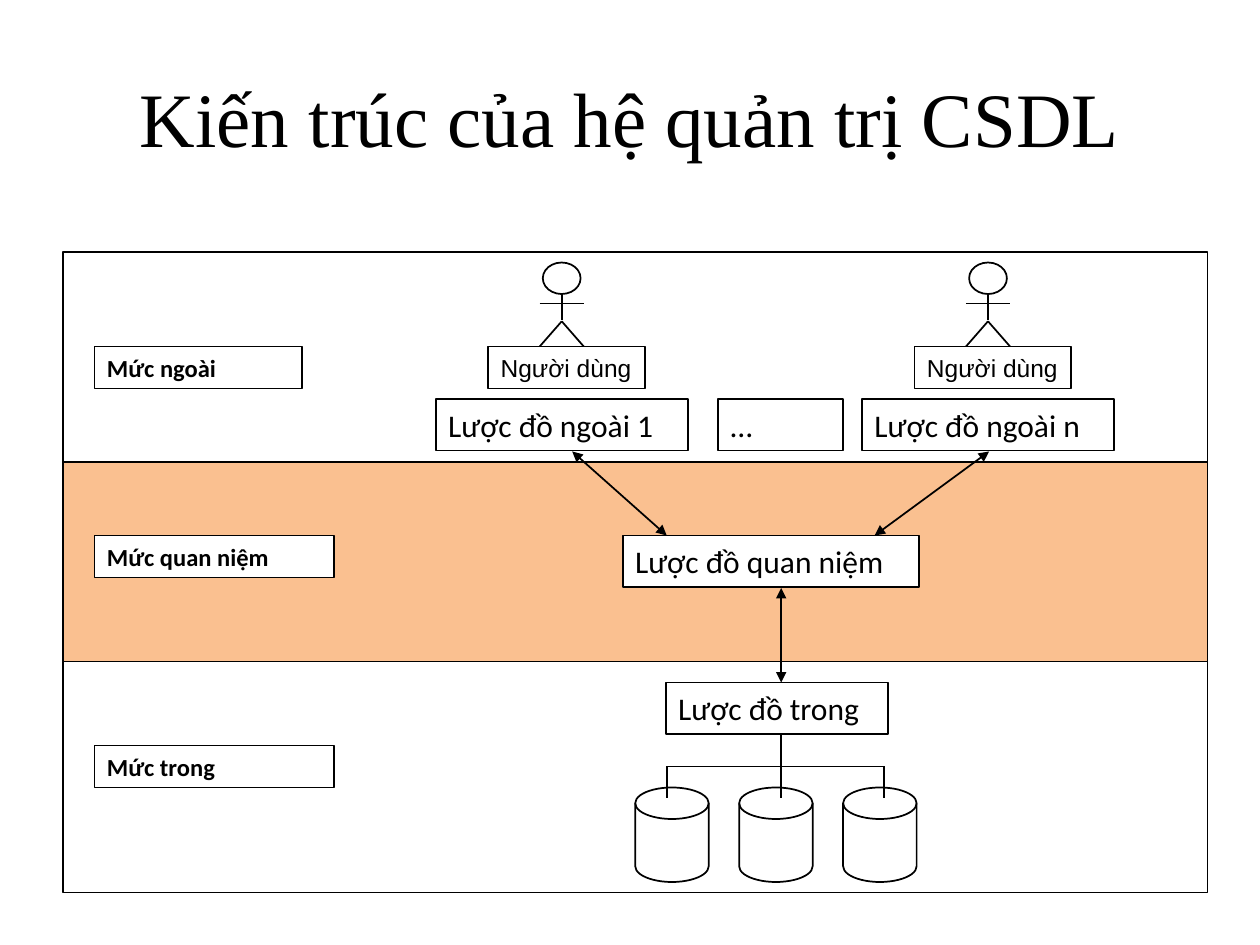
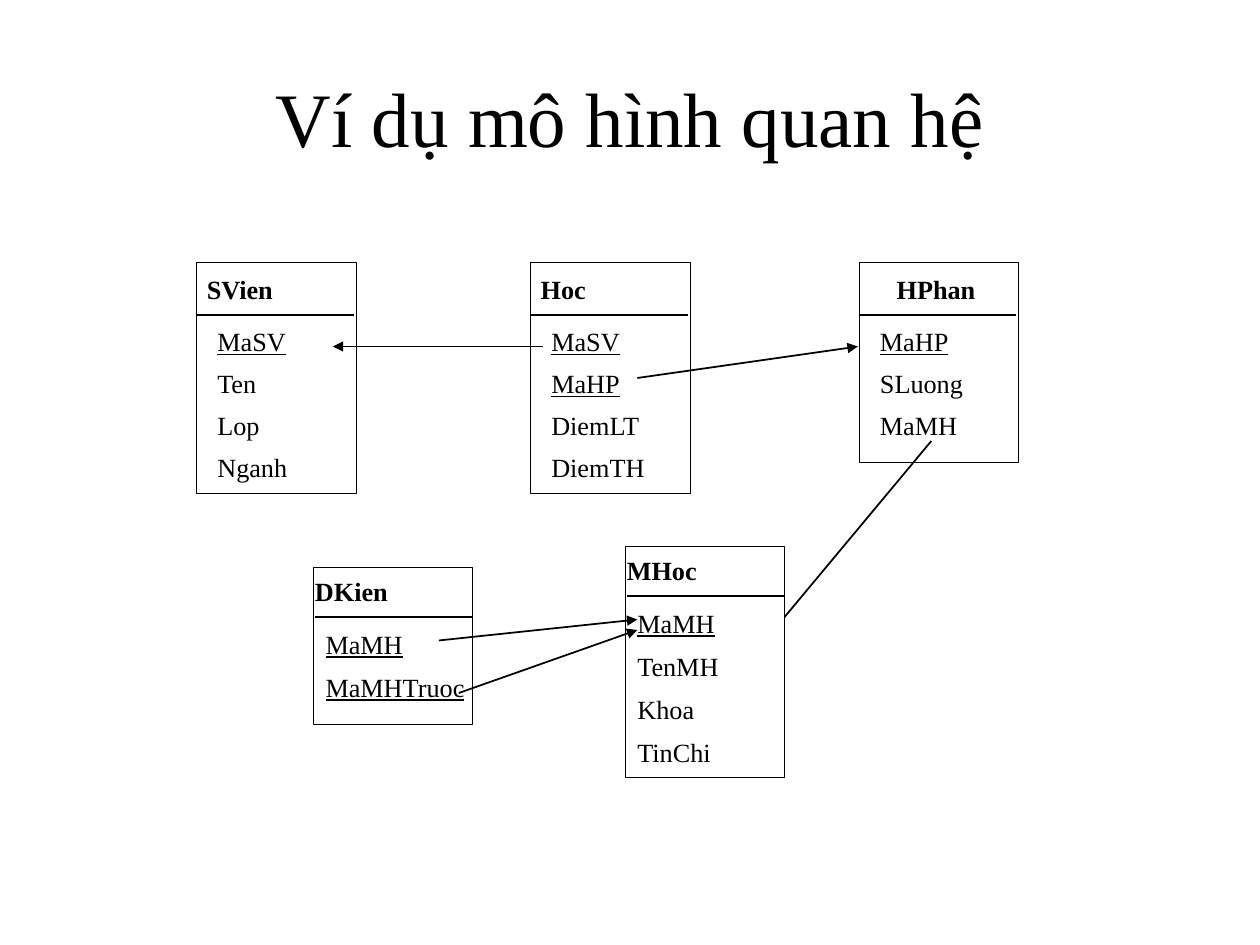
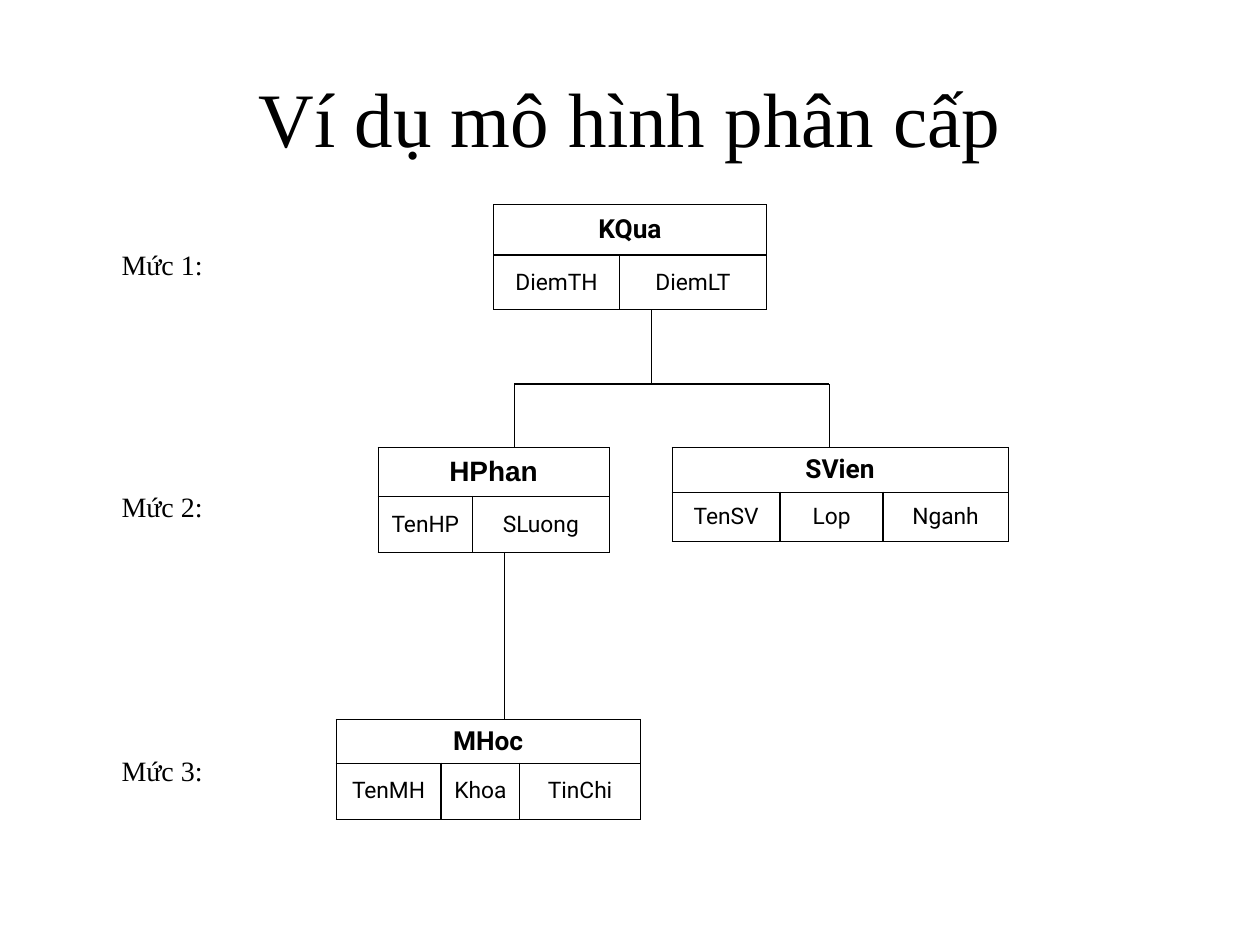
from lxml.etree import SubElement
from pptx import Presentation
from pptx.dml.color import RGBColor
from pptx.enum.shapes import MSO_CONNECTOR as Conn, MSO_SHAPE as Shape
from pptx.enum.text import MSO_ANCHOR as Anchor, PP_ALIGN as Align
from pptx.oxml.ns import qn
from pptx.util import Inches, Pt

BLACK = RGBColor(0x00, 0x00, 0x00)
WHITE = RGBColor(0xFF, 0xFF, 0xFF)
ORANGE = RGBColor(0xFA, 0xC0, 0x90)
SERIF, SANS, BODY, CELL = "Times New Roman", "Arial", "Calibri", "Roboto"
THIN, LINE = 0.5, 1
TITLE_ONLY = 5


def g(n):
    """Length of n grid units; the slide is 120 columns by 90 rows."""
    return Inches(n / 12)


def box(x, y, w, h):
    return g(x), g(y), g(w), g(h)


# Elements
def write(tf, text, size=15, font=SERIF, bold=False, underline=False,
          align=Align.LEFT, anchor=Anchor.MIDDLE, wrap=True, inset=None):
    tf.word_wrap = wrap
    tf.vertical_anchor = anchor
    if inset is not None:
        tf.margin_left = tf.margin_right = tf.margin_top = tf.margin_bottom = inset
    style(tf.paragraphs[0], text, size, font, bold, underline, align)


def style(p, text, size, font, bold=False, underline=False, align=Align.CENTER):
    p.alignment = align
    r = p.add_run()
    r.text = text
    f = r.font
    f.size, f.name, f.bold, f.underline = Pt(size), font, bold, underline
    f.color.rgb = BLACK


def add_slide(prs, title):
    s = prs.slides.add_slide(prs.slide_layouts[TITLE_ONLY])
    t = s.shapes.title
    t.left, t.top, t.width, t.height = box(6, 3.6, 108, 15)
    write(t.text_frame, title, size=44, align=Align.CENTER)
    return s


def add_shape(s, kind, x, y, w, h, fill=WHITE, line=LINE, text=None, **fmt):
    sp = s.shapes.add_shape(kind, *box(x, y, w, h))
    sp.shadow.inherit = False
    sp.fill.solid()
    sp.fill.fore_color.rgb = fill
    sp.line.color.rgb = BLACK
    sp.line.width = Pt(line)
    if text:
        write(sp.text_frame, text, **fmt)


def add_text(s, text, x, y, w, h, **fmt):
    write(s.shapes.add_textbox(*box(x, y, w, h)).text_frame, text, **fmt)


def add_line(s, x1, y1, x2, y2, width=LINE, ends=()):
    c = s.shapes.add_connector(Conn.STRAIGHT, g(x1), g(y1), g(x2), g(y2))
    c.line.width = Pt(width)
    c.line.color.rgb = BLACK
    ln = c.line._get_or_add_ln()
    for end in ends:
        SubElement(ln, qn(f"a:{end}End"), type="triangle")
    SubElement(c._element.spPr, qn("a:effectLst"))


def add_border(cell, side, width):
    ln = SubElement(cell._tc.get_or_add_tcPr(), qn(f"a:ln{side}"), w=str(Pt(width)))
    fill = SubElement(ln, qn("a:solidFill"))
    SubElement(fill, qn("a:srgbClr"), val=str(BLACK))


# Slide 1: three levels
def add_user(s, cx, schema):
    add_shape(s, Shape.OVAL, cx - 1.8, 25, 3.6, 3)
    add_line(s, cx, 28.1, cx, 30.5)
    add_line(s, cx - 2.1, 28.9, cx + 2.1, 28.9)
    for foot in (-2.1, 2.1):
        add_line(s, cx, 30.6, cx + foot, 33)
    add_shape(s, Shape.RECTANGLE, cx - 7, 33, 14.9, 4, text="Người dùng",
              size=14, font=SANS, wrap=False)
    add_schema(s, schema, cx - 12, 38, 24)


def add_schema(s, text, x, y, w):
    add_shape(s, Shape.RECTANGLE, x, y, w, 4.9, text=text, size=18, font=BODY)


def architecture(prs):
    s = add_slide(prs, "Kiến trúc của hệ quản trị CSDL")
    for top, bottom, fill in ((44, 63, ORANGE), (63, 85, WHITE), (24, 44, WHITE)):
        add_shape(s, Shape.RECTANGLE, 6, top, 109, bottom - top, fill)
    for text, y, w in (("Mức ngoài", 33, 19.8), ("Mức quan niệm", 51, 22.8),
                       ("Mức trong", 71, 22.8)):
        add_shape(s, Shape.RECTANGLE, 9, y, w, 4, text=text,
                  size=14, font=BODY, bold=True)

    add_user(s, 53.5, "Lược đồ ngoài 1")
    add_user(s, 94.1, "Lược đồ ngoài n")
    add_schema(s, "…", 68.4, 38, 11.9)
    add_schema(s, "Lược đồ quan niệm", 59.3, 51, 28.2)
    add_schema(s, "Lược đồ trong", 63.4, 65, 21.2)

    # Storage and the lines that join it
    for i in range(3):
        add_shape(s, Shape.FLOWCHART_MAGNETIC_DISK, 60.5 + 9.9 * i, 75, 7, 9)
    for ends in ((74.4, 56, 74.4, 65), (54.5, 43, 63.5, 51), (94.2, 43, 83.3, 51)):
        add_line(s, *ends, ends=("head", "tail"))
    add_line(s, 63.5, 73, 84.2, 73)
    for x, top in ((63.5, 73), (84.2, 73), (74.4, 70)):
        add_line(s, x, top, x, 76)


# Slide 2: relations
def add_relation(s, name, x, y, h, fields, keys, head_dx=1, field_dx=2,
                 rule_dx=0, lift=0, step=4):
    add_shape(s, Shape.RECTANGLE, x, y, 15.2, h, line=0.25)
    fmt = dict(inset=0, anchor=Anchor.TOP)
    add_text(s, name, x + head_dx, y + 1 - lift, 11, 3, bold=True, **fmt)
    add_line(s, x + rule_dx, y + 5 - lift, x + rule_dx + 15, y + 5 - lift)
    for i, field in enumerate(fields):
        add_text(s, field, x + field_dx, y + 6 - lift + step * i, 14, 3,
                 underline=i < keys, **fmt)


def relational_model(prs):
    s = add_slide(prs, "Ví dụ mô hình quan hệ")
    low = dict(head_dx=0.2, field_dx=1.2, rule_dx=0.2, lift=0.2, step=4.1)
    add_relation(s, "SVien", 18.7, 25, 22, ("MaSV", "Ten", "Lop", "Nganh"), 1)
    add_relation(s, "Hoc", 50.5, 25, 22, ("MaSV", "MaHP", "DiemLT", "DiemTH"), 2)
    add_relation(s, "HPhan", 81.8, 25, 19, ("MaHP", "SLuong", "MaMH"), 1, head_dx=3.6)
    # This arrow ends behind the MHoc box
    add_line(s, 88.7, 42, 73.7, 60, ends=("tail",))
    add_relation(s, "MHoc", 59.5, 52, 22, ("MaMH", "TenMH", "Khoa", "TinChi"), 1, **low)
    add_relation(s, "DKien", 29.8, 54, 15, ("MaMH", "MaMHTruoc"), 2, **low)
    for ends in ((51.7, 33, 31.7, 33), (60.7, 36, 81.7, 33),
                 (41.8, 61, 60.7, 59), (43.7, 66, 60.7, 60)):
        add_line(s, *ends, ends=("tail",))


# Slide 3: record tree
def add_record(s, name, x, y, cols, rows, fields, font=CELL, size=15):
    frame = s.shapes.add_table(2, len(cols), *box(x, y, sum(cols), sum(rows)))
    table = frame.table
    for col, w in zip(table.columns, cols):
        col.width = g(w)
    for row, h in zip(table.rows, rows):
        row.height = g(h)
    last = len(cols) - 1
    for i in range(2):
        for j in range(len(cols)):
            cell = table.cell(i, j)
            cell.margin_left = cell.margin_right = g(0.6)
            cell.vertical_anchor = Anchor.MIDDLE
            add_border(cell, "L", LINE if i and j else THIN)
            add_border(cell, "R", LINE if i and j < last else THIN)
            add_border(cell, "T", LINE if i else THIN)
            add_border(cell, "B", THIN if i else LINE)
            cell.fill.solid()
            cell.fill.fore_color.rgb = WHITE
    table.cell(0, 0).merge(table.cell(0, last))
    style(table.cell(0, 0).text_frame.paragraphs[0], name, size, font, bold=True)
    for j, field in enumerate(fields):
        style(table.cell(1, j).text_frame.paragraphs[0], field, 13, CELL)


def hierarchical_model(prs):
    s = add_slide(prs, "Ví dụ mô hình phân cấp")
    for i, y in enumerate((23, 46, 71.2), start=1):
        add_text(s, f"Mức {i}:", 10.4, y, 10.6, 4.4, size=16, anchor=Anchor.TOP)
    add_record(s, "KQua", 47, 19.5, (12, 14), (4.8, 5.2), ("DiemTH", "DiemLT"))
    add_record(s, "HPhan", 36, 42.6, (9, 13), (4.7, 5.3), ("TenHP", "SLuong"),
               font=SANS, size=16)
    add_record(s, "SVien", 64, 42.6, (10.3, 9.8, 11.9), (4.3, 4.7),
               ("TenSV", "Lop", "Nganh"))
    add_record(s, "MHoc", 32, 68.5, (10, 7.5, 11.5), (4.2, 5.3),
               ("TenMH", "Khoa", "TinChi"))
    # Branches
    add_line(s, 49, 36.6, 79, 36.6)
    for x, top, bottom in ((62, 29.5, 36.6), (49, 36.6, 42.6),
                           (79, 36.6, 42.6), (48, 52.6, 68.5)):
        add_line(s, x, top, x, bottom, width=THIN)


def main():
    prs = Presentation()
    prs.slide_width, prs.slide_height = g(120), g(90)
    architecture(prs)
    relational_model(prs)
    hierarchical_model(prs)
    prs.save("out.pptx")


if __name__ == "__main__":
    main()
